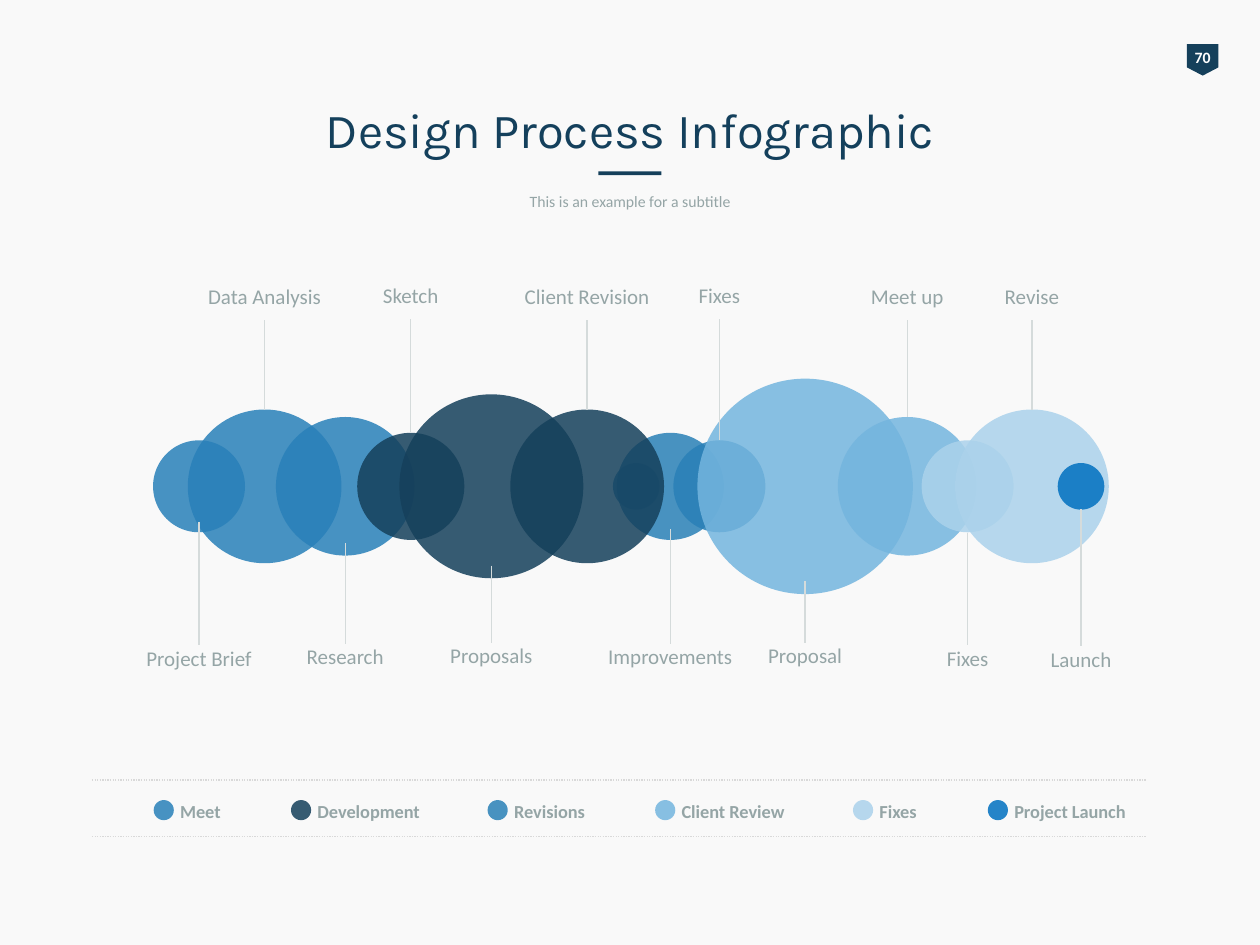
"""Build the Design Process Infographic slide."""
from dataclasses import dataclass

from lxml.etree import SubElement
from pptx import Presentation
from pptx.dml.color import RGBColor as Color
from pptx.enum.dml import MSO_LINE as Dash
from pptx.enum.shapes import MSO_CONNECTOR as Connector, MSO_SHAPE as Shape
from pptx.enum.text import MSO_ANCHOR as Anchor, PP_ALIGN as Align
from pptx.oxml.ns import qn
from pptx.util import Inches, Pt


@dataclass(frozen=True)
class Theme:
    paper: str = "F9F9F9"
    navy: str = "15405B"
    title: str = "14405C"
    white: str = "FFFFFF"
    muted: str = "95A5A6"
    stem: str = "D5DBDB"
    rule: str = "D9D9D9"
    meet: str = "2980B9"
    revision: str = "2A80B7"
    review: str = "74B5DE"
    fix: str = "ABD2EB"
    launch: str = "0070C0"
    heading_font: str = "Karla"
    body_font: str = "Calibri"
    title_size: float = 28
    small_size: float = 9
    label_size: float = 12
    legend_size: float = 10.5
    line_width: float = 0.75
    opacity: int = 85


theme = Theme()
deck = Presentation()
deck.slide_width, deck.slide_height = Inches(10), Inches(7.5)
page = deck.slides.add_slide(deck.slide_layouts[5])
page.background.fill.solid()
page.background.fill.fore_color.rgb = Color.from_string(theme.paper)


def add_filled(kind, place, color, opacity=100):
    """Add a borderless shape with a solid, optionally translucent fill."""
    shape = page.shapes.add_shape(kind, *map(Inches, place))
    shape.shadow.inherit = False
    shape.line.fill.background()
    shape.fill.solid()
    shape.fill.fore_color.rgb = Color.from_string(color)
    if opacity < 100:
        tint = shape._element.spPr.find(qn("a:solidFill"))[0]
        SubElement(tint, qn("a:alpha"), val=str(opacity * 1000))
    return shape


def add_text(place, text, size, color, align=Align.CENTER, bold=False,
             font=theme.body_font, inset=None, wrap=False, box=None):
    """Write one formatted line in a new text box or in the given box."""
    box = box or page.shapes.add_textbox(0, 0, 0, 0)
    for name, value in zip(("left", "top", "width", "height"), place):
        setattr(box, name, Inches(value))
    frame = box.text_frame
    frame.word_wrap = wrap
    if inset is not None:
        for side in ("left", "top", "right", "bottom"):
            setattr(frame, f"margin_{side}", Inches(inset))
    para = frame.paragraphs[0]
    para.alignment = align
    span = para.add_run()
    span.text = text
    for name, value in {"name": font, "size": Pt(size), "bold": bold}.items():
        setattr(span.font, name, value)
    span.font.color.rgb = Color.from_string(color)


badge = add_filled(Shape.PENTAGON, (9.42, 0.35, 0.25, 0.25), theme.navy)
badge.rotation = 90
badge.adjustments[0] = 0.26
add_text((9.38, 0.33, 0.33, 0.19), "70", theme.small_size, theme.white, bold=True)

add_text((0.5, 0.81, 9, 0.43), "Design Process Infographic", theme.title_size, theme.title,
         font=theme.heading_font, wrap=True, box=page.shapes.title)
page.shapes.title.text_frame.vertical_anchor = Anchor.MIDDLE
add_text((0.5, 1.47, 9, 0.19), "This is an example for a subtitle",
         theme.small_size, theme.muted, wrap=True)
add_filled(Shape.RECTANGLE, (4.75, 1.36, 0.5, 0.03), theme.navy)

axis = 3.86
circles = [
    (5.32, 0.85, theme.revision),
    (2.1, 1.22, theme.meet),
    (1.58, 0.73, theme.meet),
    (2.74, 1.1, theme.meet),
    (3.9, 1.46, theme.navy),
    (5.05, 0.37, theme.revision),
    (3.26, 0.85, theme.navy),
    (4.66, 1.22, theme.navy),
    (5.71, 0.73, theme.revision),
    (6.39, 1.71, theme.review),
    (7.2, 1.1, theme.review),
    (7.68, 0.73, theme.fix),
    (8.19, 1.22, theme.fix),
    (8.58, 0.37, theme.launch),
]
for center, size, color in circles:
    add_filled(Shape.OVAL, (center - size / 2, axis - size / 2, size, size),
               color, theme.opacity)

labels = [
    ("Project Brief", 1.58, 4.14, 5.12),
    ("Data Analysis", 2.1, 3.25, 2.54),
    ("Sketch", 3.26, 3.43, 2.53),
    ("Client Revision", 4.66, 3.25, 2.54),
    ("Fixes", 5.71, 3.49, 2.53),
    ("Meet up", 7.2, 3.31, 2.54),
    ("Revise", 8.19, 3.25, 2.54),
    ("Research", 2.74, 4.31, 5.11),
    ("Proposals", 3.9, 4.49, 5.1),
    ("Improvements", 5.32, 4.2, 5.11),
    ("Proposal", 6.39, 4.61, 5.1),
    ("Fixes", 7.68, 4.23, 5.12),
    ("Launch", 8.58, 4.04, 5.13),
]
lines = [((0.73, y, 9.1, y), theme.rule, Dash.ROUND_DOT) for y in (6.19, 6.64)]
lines += [((x, start, x, end), theme.stem, Dash.SOLID) for _, x, start, end in labels]
for ends, color, dash in lines:
    line = page.shapes.add_connector(Connector.STRAIGHT, *map(Inches, ends))
    SubElement(line._element.spPr, qn("a:effectLst"))
    line.line.color.rgb = Color.from_string(color)
    for name, value in {"width": Pt(theme.line_width), "dash_style": dash}.items():
        setattr(line.line, name, value)

label_width = 1.4
for text, center, start, end in labels:
    top = end if end > start else end - 0.29
    add_text((center - label_width / 2, top, label_width, 0.22), text,
             theme.label_size, theme.muted, inset=0)

legend = [
    ("Meet", 1.22, 0.33, theme.meet),
    ("Development", 2.31, 0.83, theme.navy),
    ("Revisions", 3.87, 0.58, theme.revision),
    ("Client Review", 5.2, 0.83, theme.review),
    ("Fixes", 6.77, 0.31, theme.fix),
    ("Project Launch", 7.84, 0.9, theme.launch),
]
for text, left, width, color in legend:
    add_filled(Shape.OVAL, (left, 6.35, 0.16, 0.16), color, theme.opacity)
    add_text((left + 0.21, 6.35, width, 0.18), text, theme.legend_size, theme.muted,
             align=Align.LEFT, bold=True, inset=0)

deck.save("out.pptx")
